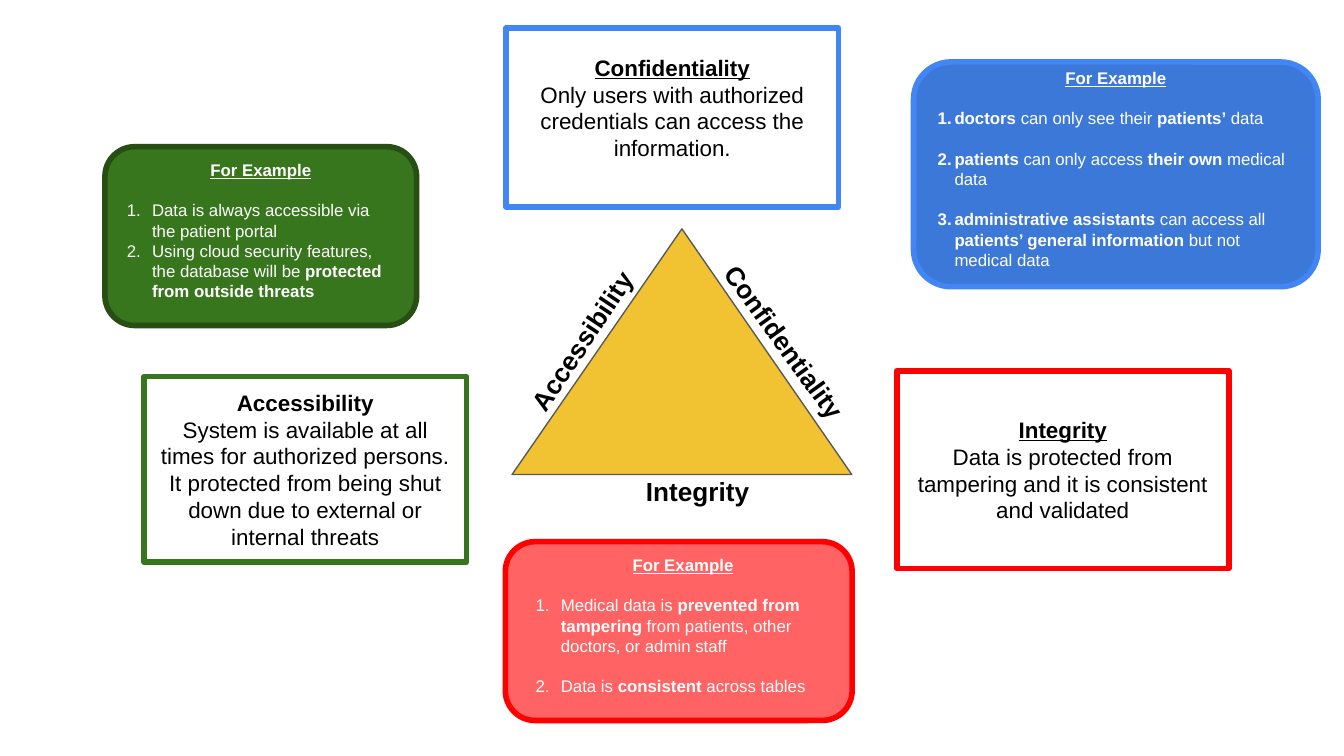
from pptx import Presentation
from pptx.dml.color import RGBColor
from pptx.enum.shapes import MSO_SHAPE as Form
from pptx.enum.text import MSO_ANCHOR as Anchor, PP_ALIGN as Align
from pptx.oxml.ns import qn
from pptx.util import Pt
from lxml.etree import SubElement as Sub

LINE = 10.8


def hue(code):
    return RGBColor.from_string(code)


class Deck:
    font = "Arial"
    pad = 7.2

    def __init__(self, wide, high):
        self.show = Presentation()
        self.show.slide_width, self.show.slide_height = Pt(wide), Pt(high)
        self.slide = self.show.slides.add_slide(self.show.slide_layouts[6])

    def shape(self, form, box, fill, line, width=3, alpha=None):
        item = self.slide.shapes.add_shape(form, *map(Pt, box))
        item.shadow.inherit = False
        item.fill.solid()
        item.fill.fore_color.rgb = hue(fill)
        item.line.color.rgb = hue(line)
        item.line.width = Pt(width)
        if alpha:
            tint = item._element.spPr.find(qn("a:solidFill"))[0]
            Sub(tint, qn("a:alpha"), val=str(alpha * 1000))
        return item

    def frame(self, item, top=pad, low=pad, anchor=Anchor.MIDDLE):
        area = item.text_frame
        area.word_wrap = True
        area.vertical_anchor = anchor
        area.margin_left = area.margin_right = Pt(self.pad)
        area.margin_top, area.margin_bottom = Pt(top), Pt(low)
        return area

    def run(self, para, text, size, color="000000", bold=False, under=False):
        font = (run := para.add_run()).font
        run.text = text
        font.name, font.size = self.font, Pt(size)
        font.bold, font.underline = bold, under
        font.color.rgb = hue(color)

    def label(self, text, box, turn=0):
        item = self.slide.shapes.add_textbox(*map(Pt, box))
        item.rotation = turn
        para = self.frame(item, anchor=Anchor.TOP).paragraphs[0]
        self.run(para, text, 14, bold=True)

    def panel(self, title, body, box, line, under=True, low=pad):
        area = self.frame(self.shape(Form.RECTANGLE, box, "FFFFFF", line), low=low)
        head, para = area.paragraphs[0], area.add_paragraph()
        head.alignment = para.alignment = Align.CENTER
        self.run(head, title, 12, bold=True, under=under)
        self.run(para, body, 12)

    def card(self, items, box, fill, line, left, hang, gap=LINE, shift=0, alpha=None):
        item = self.shape(Form.ROUNDED_RECTANGLE, box, fill, line, alpha=alpha)
        area = self.frame(item, 4, 10)
        head = area.paragraphs[0]
        head.alignment = Align.CENTER
        head._p.get_or_add_pPr().set("indent", str(Pt(shift)))
        self.run(head, "For Example", 9, "FFFFFF", True, True)
        for num, text in enumerate(items):
            para = area.add_paragraph()
            para.alignment = Align.LEFT
            para.space_before = Pt(gap if num else LINE)
            prop = para._p.get_or_add_pPr()
            prop.set("marL", str(Pt(left)))
            prop.set("indent", str(Pt(-hang)))
            Sub(Sub(prop, qn("a:buClr")), qn("a:srgbClr"), val="FFFFFF")
            Sub(prop, qn("a:buFont"), typeface=self.font)
            Sub(prop, qn("a:buAutoNum"), type="arabicPeriod")
            for part, words in enumerate(text.split("*")):
                if words:
                    self.run(para, words, 9, "FFFFFF", part % 2 == 1)


def main():
    deck = Deck(720, 405)
    deck.shape(Form.ISOSCELES_TRIANGLE, (274.3, 122.6, 182, 131.6),
               "F1C232", "595959", 0.75)
    deck.panel("Confidentiality",
               "Only users with authorized credentials can access the information.",
               (271.2, 15, 178, 96), "4285F4", low=18)
    deck.panel("Integrity",
               "Data is protected from tampering and it is consistent and validated",
               (480.4, 198.6, 178, 106), "FF0000")
    deck.panel("Accessibility",
               "System is available at all times for authorized persons. "
               "It protected from being shut down due to external or internal threats",
               (77.2, 201.8, 172.8, 99.4), "38761D", under=False)
    deck.label("Confidentiality", (363, 170, 118, 31.6), 54.1)
    deck.label("Integrity", (339, 247.6, 74.2, 31.6))
    deck.label("Accessibility", (260.6, 165, 104.4, 31.6), 303.7)
    deck.card(["*doctors* can only see their* patients’* data",
               "*patients* can only access *their own* medical data",
               "*administrative assistants *can access all "
               "*patients’ general information* but not medical data"],
              (489.4, 33.2, 216.8, 120.4), "3C78D8", "4285F4", 9, 9)
    deck.card(["Data is always accessible via the patient portal",
               "Using cloud security features, the database will be"
               "* protected from outside threats*"],
              (56.2, 78.6, 167, 95.8), "38761D", "274E13", 13.5, 13.5, gap=0)
    deck.card(["Medical data is *prevented from tampering *"
               "from patients, other doctors, or admin staff",
               "Data is *consistent *across tables"],
              (270.7, 290.2, 185.8, 95.8), "FF0000", "FF0000", 18, 13.5,
              shift=4.5, alpha=61)
    deck.show.save("out.pptx")


if __name__ == "__main__":
    main()
